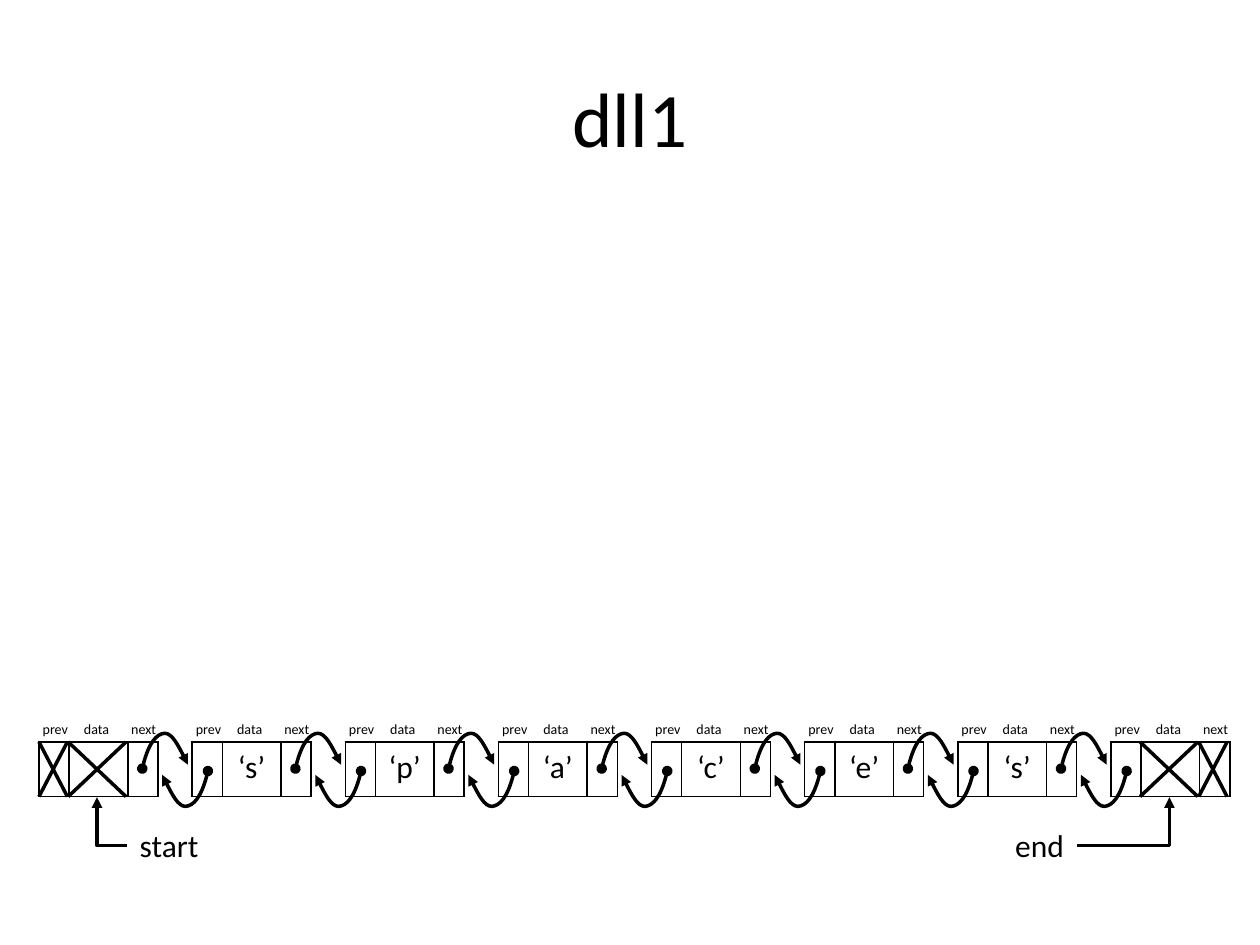
import pptx
import pptx.dml.color
import pptx.enum.shapes
import pptx.enum.text
import pptx.oxml
import pptx.oxml.ns
import pptx.util
from lxml import etree

Pt = pptx.util.Pt
qn = pptx.oxml.ns.qn
BLACK = pptx.dml.color.RGBColor(0, 0, 0)
WHITE = pptx.dml.color.RGBColor(255, 255, 255)
FONT = "Calibri"

# List geometry, in points
NODE_LEFT, NODE_TOP, NODE_HEIGHT = 22.3, 424, 31.2
NODE_PITCH = 87.5
COLUMNS = (16.7, 33.5, 16.7)
LABELS = (("prev", -5), ("data", 18.6), ("next", 45.6))
LETTERS = ("", "‘s’", "‘p’", "‘a’", "‘c’", "‘e’", "‘s’", "")

# Pointer arc: a start point, then two Bezier segments of three points each
ARC = ((0, 20.2), (3.3, 5.8), (8.2, 0.4), (12.8, 0), (17.2, 0), (23.8, 13), (26.1, 18))


def write_text(frame, text, size=18, align=pptx.enum.text.PP_ALIGN.LEFT):
    para = frame.paragraphs[0]
    para.alignment = align
    span = para.add_run()
    span.text = text
    span.font.size = Pt(size)
    span.font.name = FONT
    span.font.color.rgb = BLACK


def add_label(page, text, left, top, width, height, **style):
    box = page.shapes.add_textbox(Pt(left), Pt(top), Pt(width), Pt(height))
    box.text_frame.word_wrap = False
    box.text_frame.auto_size = pptx.enum.text.MSO_AUTO_SIZE.SHAPE_TO_FIT_TEXT
    write_text(box.text_frame, text, **style)


def style_line(shape, head=None, tail=None):
    shape.line.color.rgb = BLACK
    shape.line.width = Pt(2)
    line = shape.line._get_or_add_ln()
    for tag, kind in (("a:headEnd", head), ("a:tailEnd", tail)):
        if kind:
            etree.SubElement(line, qn(tag), type=kind)


def add_line(page, kind, start, end, **ends):
    connector = page.shapes.add_connector(kind, *(Pt(value) for value in start + end))
    style_line(connector, **ends)
    etree.SubElement(connector._element.spPr, qn("a:effectLst"))
    return connector


def add_cross(page, left, top, width, height):
    straight = pptx.enum.shapes.MSO_CONNECTOR.STRAIGHT
    right, bottom = left + width, top + height
    add_line(page, straight, (left, bottom), (right, top))
    add_line(page, straight, (right, bottom), (left, top))


def add_elbow(page, start, end):
    connector = add_line(page, pptx.enum.shapes.MSO_CONNECTOR.ELBOW, start, end, tail="triangle")
    connector._element.spPr.find(qn("a:prstGeom")).set("prst", "bentConnector2")


def add_arc(page, left, top, rotation=0):
    points = [(Pt(left + x), Pt(top + y)) for x, y in ARC]
    builder = page.shapes.build_freeform(*points[0], scale=1.0)
    builder.add_line_segments(points[1:], close=False)
    shape = builder.convert_to_shape()
    # Merge every three line segments into one Bezier curve
    segments = list(shape._element.iter(qn("a:lnTo")))
    outline = segments[0].getparent()
    for first in range(0, len(segments), 3):
        curve = etree.SubElement(outline, qn("a:cubicBezTo"))
        for segment in segments[first:first + 3]:
            curve.append(segment[0])
            outline.remove(segment)
    shape.rotation = rotation
    shape.shadow.inherit = False
    shape.fill.background()
    style_line(shape, head="oval", tail="triangle")


def border_cell(cell):
    properties = cell._tc.get_or_add_tcPr()
    for side in ("a:lnL", "a:lnR", "a:lnT", "a:lnB"):
        line = etree.SubElement(properties, qn(side), w=str(Pt(1)))
        fill = etree.SubElement(line, qn("a:solidFill"))
        etree.SubElement(fill, qn("a:srgbClr"), val=str(BLACK))


def add_node(page, letter, left, top, height):
    frame = page.shapes.add_table(1, len(COLUMNS), Pt(left), Pt(top), Pt(sum(COLUMNS)), Pt(height))
    table = frame.table
    table.first_row = table.horz_banding = False
    for column, width in zip(table.columns, COLUMNS):
        column.width = Pt(width)
    for cell in table.iter_cells():
        border_cell(cell)
        cell.fill.solid()
        cell.fill.fore_color.rgb = WHITE
    if letter:
        write_text(table.cell(0, 1).text_frame, letter, align=pptx.enum.text.PP_ALIGN.CENTER)
    for text, offset in LABELS:
        add_label(page, text, left + offset, top - 16, 29.5, 17, size=8)


def add_list(page, left, top, height):
    lefts = [left + index * NODE_PITCH for index in range(len(LETTERS))]
    for index, (letter, node_left) in enumerate(zip(LETTERS, lefts)):
        add_node(page, letter, node_left, top, height)
        if index:
            add_arc(page, node_left - 17.1, top + 16.6, rotation=180)
            add_arc(page, node_left - 28.5, top - 5)

    # Unused fields of the two sentinel nodes
    narrow, wide, _ = COLUMNS
    last = lefts[-1]
    for cross_left, width in ((left, narrow), (left + narrow, wide),
                              (last + narrow, wide), (last + narrow + wide, narrow)):
        add_cross(page, cross_left, top, width - 0.5, height)

    # Named references to the sentinels
    bottom, text_top = top + height + 0.4, 468.7
    middle = text_top + 14.5
    add_label(page, "start", 72.7, text_top, 49, 29)
    add_label(page, "end", 573, text_top, 42.5, 29)
    add_elbow(page, (72.7, middle), (left + narrow + wide / 2 - 0.3, bottom))
    add_elbow(page, (615.5, middle), (last + narrow + wide / 2, bottom))


def add_title(page, text, left, top, width, height):
    title = page.shapes.title
    title.left, title.top, title.width, title.height = Pt(left), Pt(top), Pt(width), Pt(height)
    title.text_frame.vertical_anchor = pptx.enum.text.MSO_ANCHOR.MIDDLE
    write_text(title.text_frame, text, size=44, align=pptx.enum.text.PP_ALIGN.CENTER)


def main():
    deck = pptx.Presentation()
    deck.slide_width, deck.slide_height = Pt(720), Pt(540)
    page = deck.slides.add_slide(deck.slide_layouts[5])
    add_title(page, "dll1", 36, 21.6, 648, 90)
    add_list(page, NODE_LEFT, NODE_TOP, NODE_HEIGHT)
    deck.save("out.pptx")


if __name__ == "__main__":
    main()
